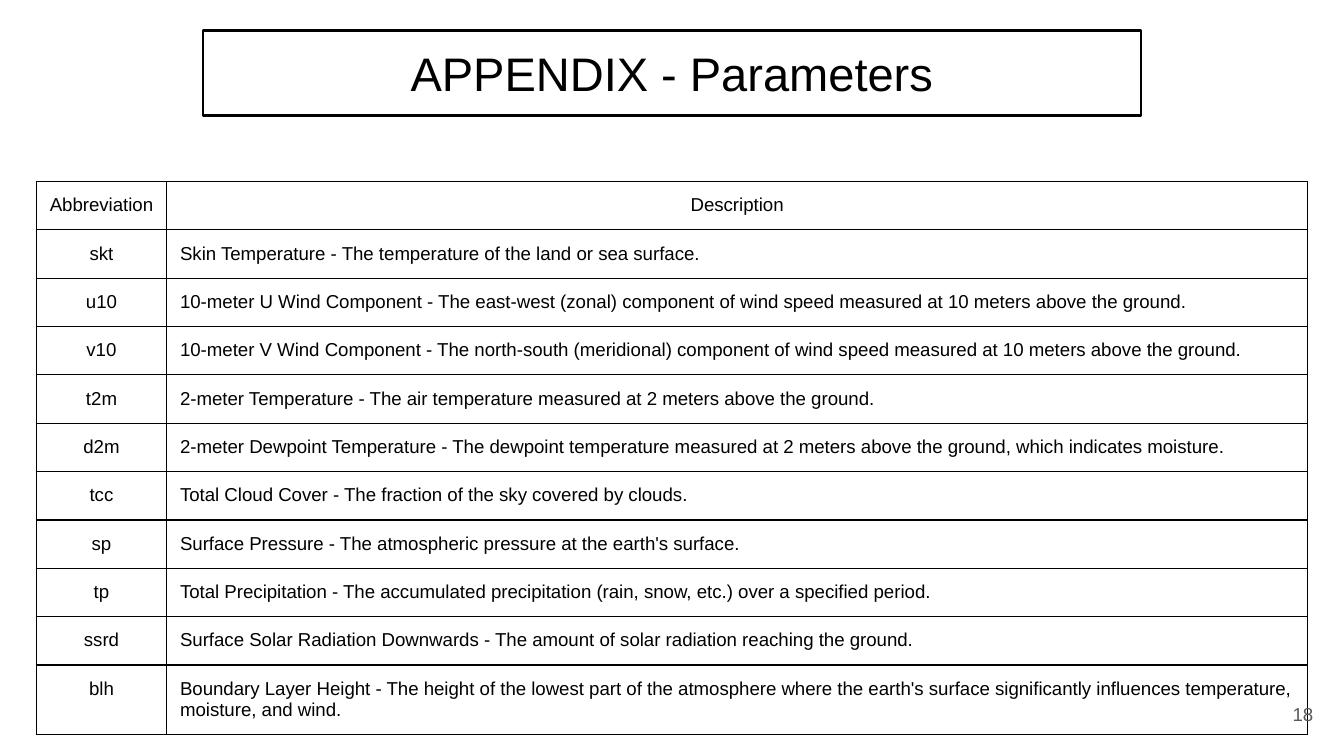
"""Build the appendix slide that lists the weather parameters."""
import pptx
import pptx.dml.color
import pptx.enum.text
import pptx.oxml
import pptx.oxml.ns
import pptx.util

Inches, Pt = pptx.util.Inches, pptx.util.Pt
Color = pptx.dml.color.RGBColor
Align, Anchor = pptx.enum.text.PP_ALIGN, pptx.enum.text.MSO_ANCHOR

BLACK = Color(0x00, 0x00, 0x00)
GRAY = Color(0x59, 0x59, 0x59)

TITLE = "APPENDIX - Parameters"
NUMBER = "18"
HEAD = ("Abbreviation", "Description")
PARAMS = [
    ("skt", "Skin Temperature - The temperature of the land or sea surface."),
    ("u10", "10-meter U Wind Component - The east-west (zonal) component of wind speed "
            "measured at 10 meters above the ground."),
    ("v10", "10-meter V Wind Component - The north-south (meridional) component of wind speed "
            "measured at 10 meters above the ground."),
    ("t2m", "2-meter Temperature - The air temperature measured at 2 meters above the ground."),
    ("d2m", "2-meter Dewpoint Temperature - The dewpoint temperature measured at 2 meters "
            "above the ground, which indicates moisture."),
    ("tcc", "Total Cloud Cover - The fraction of the sky covered by clouds."),
    ("sp", "Surface Pressure - The atmospheric pressure at the earth's surface."),
    ("tp", "Total Precipitation - The accumulated precipitation (rain, snow, etc.) "
           "over a specified period."),
    ("ssrd", "Surface Solar Radiation Downwards - The amount of solar radiation "
             "reaching the ground."),
    ("blh", "Boundary Layer Height - The height of the lowest part of the atmosphere where "
            "the earth's surface significantly influences temperature, moisture, and wind."),
]
ROWS = [HEAD] + PARAMS

WIDE = 10
HIGH = WIDE * 9 / 16
COLS = (0.97, 8.49)
ROW, LAST = 0.36, 0.52
PAD = Inches(0.1)
SIDES = ("left", "right", "top", "bottom")
FONTS = {
    "title": {"name": "Arial", "size": Pt(25.2), "bold": False},
    "body": {"name": "Arial", "size": Pt(10), "bold": False},
}
EDGE = (
    '<a:{} {} w="9525"><a:solidFill><a:srgbClr val="{}"/></a:solidFill>'
    '<a:prstDash val="solid"/></a:{}>'
)


def apply(item, values):
    for key, value in values.items():
        setattr(item, key, value)


def write(frame, text, font, color, align):
    line = frame.paragraphs[0]
    line.text = text
    line.alignment = align
    apply(line.runs[0].font, FONTS[font])
    line.runs[0].font.color.rgb = color


def place(shape, left, top, width, height):
    box = {"left": left, "top": top, "width": width, "height": height}
    apply(shape, {key: Inches(value) for key, value in box.items()})


def set_frame(frame, anchor):
    apply(frame, {f"margin_{side}": PAD for side in SIDES})
    apply(frame, {
        "word_wrap": True,
        "vertical_anchor": anchor,
        "auto_size": pptx.enum.text.MSO_AUTO_SIZE.NONE,
    })


def set_edges(cell):
    props = cell._tc.get_or_add_tcPr()
    for tag in ("lnL", "lnR", "lnT", "lnB"):
        props.append(pptx.oxml.parse_xml(
            EDGE.format(tag, pptx.oxml.ns.nsdecls("a"), BLACK, tag)))


def add_grid(slide):
    high = ROW * len(PARAMS) + LAST
    left = (WIDE - sum(COLS)) / 2
    table = slide.shapes.add_table(
        len(ROWS), len(COLS), Inches(left), Inches(1.35),
        Inches(sum(COLS)), Inches(high)).table
    apply(table, {"first_row": False, "horz_banding": False})
    for col, width in zip(table.columns, COLS):
        col.width = Inches(width)
    for r, texts in enumerate(ROWS):
        table.rows[r].height = Inches(LAST if r == len(PARAMS) else ROW)
        for c, text in enumerate(texts):
            cell = table.cell(r, c)
            apply(cell, {f"margin_{side}": PAD for side in SIDES})
            set_edges(cell)
            cell.fill.background()
            align = Align.CENTER if r == 0 or c == 0 else Align.LEFT
            write(cell.text_frame, text, "body", BLACK, align)


def main():
    deck = pptx.Presentation()
    apply(deck, {"slide_width": Inches(WIDE), "slide_height": Inches(HIGH)})
    slide = deck.slides.add_slide(deck.slide_layouts[5])
    add_grid(slide)

    title = slide.shapes.title
    place(title, 1.51, 0.23, 6.98, 0.63)
    title.line.color.rgb = BLACK
    title.line.width = Pt(1.5)
    set_frame(title.text_frame, Anchor.TOP)
    write(title.text_frame, TITLE, "title", BLACK, Align.CENTER)

    page = slide.shapes.add_textbox(0, 0, 0, 0)
    place(page, 9.27, 5.1, 0.6, 0.43)
    set_frame(page.text_frame, Anchor.MIDDLE)
    write(page.text_frame, NUMBER, "body", GRAY, Align.RIGHT)
    deck.save("out.pptx")


if __name__ == "__main__":
    main()
